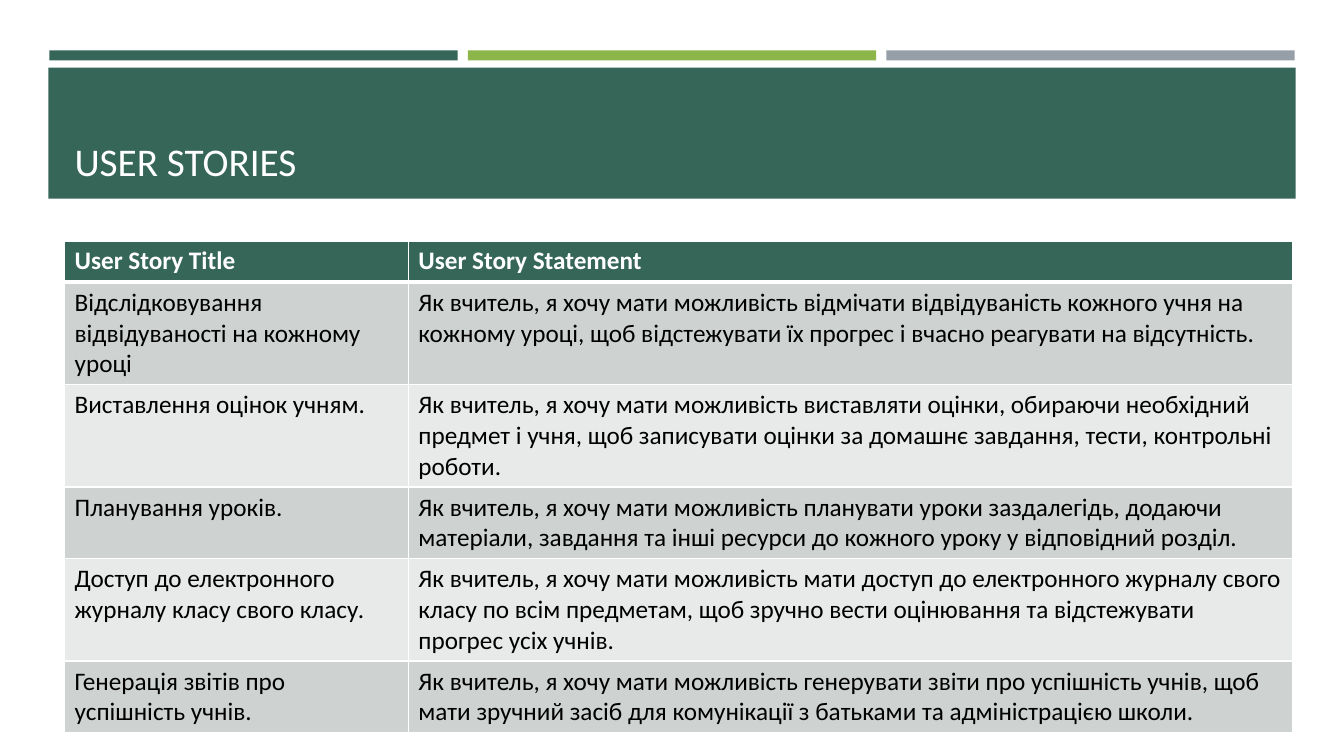
from lxml import etree
from pptx import Presentation
from pptx import util as u
from pptx.dml.color import RGBColor
from pptx.enum import shapes, text
from pptx.oxml import ns

GREEN = RGBColor(0x36, 0x66, 0x58)
LIME = RGBColor(0x8C, 0xB6, 0x4A)
GREY = RGBColor(0x96, 0x9F, 0xA7)
WHITE = RGBColor(0xFF, 0xFF, 0xFF)
BLACK = RGBColor(0x00, 0x00, 0x00)
ROW_DARK = RGBColor(0xCE, 0xD3, 0xD1)
ROW_LIGHT = RGBColor(0xE8, 0xEA, 0xEA)
FONT = "Calibri"

STORIES = [
    ("User Story Title", "User Story Statement"),
    ("Відслідковування відвідуваності на кожному уроці",
     "Як вчитель, я хочу мати можливість відмічати відвідуваність кожного учня на кожному уроці, "
     "щоб відстежувати їх прогрес і вчасно реагувати на відсутність."),
    ("Виставлення оцінок учням.",
     "Як вчитель, я хочу мати можливість виставляти оцінки, обираючи необхідний предмет і учня, "
     "щоб записувати оцінки за домашнє завдання, тести, контрольні роботи."),
    ("Планування уроків.",
     "Як вчитель, я хочу мати можливість планувати уроки заздалегідь, додаючи матеріали, "
     "завдання та інші ресурси до кожного уроку у відповідний розділ."),
    ("Доступ до електронного журналу класу свого класу.",
     "Як вчитель, я хочу мати можливість мати доступ до електронного журналу свого класу по всім предметам, "
     "щоб зручно вести оцінювання та відстежувати прогрес усіх учнів."),
    ("Генерація звітів про успішність учнів.",
     "Як вчитель, я хочу мати можливість генерувати звіти про успішність учнів, "
     "щоб мати зручний засіб для комунікації з батьками та адміністрацією школи."),
]


def add_block(slide, left, top, width, height, color):
    shape = slide.shapes.add_shape(
        shapes.MSO_SHAPE.RECTANGLE, u.Inches(left), u.Inches(top), u.Inches(width), u.Inches(height))
    shape.shadow.inherit = False
    shape.fill.solid()
    shape.fill.fore_color.rgb = color
    shape.line.fill.background()


def format_run(run, size, color, bold=False):
    run.font.name = FONT
    run.font.size = u.Pt(size)
    run.font.bold = bold
    run.font.color.rgb = color


def add_stripes(slide, left, top, width, height):
    gap = 0.1
    stripe_width = (width - 2 * gap) / 3
    for index, color in enumerate((GREEN, LIME, GREY)):
        add_block(slide, left + index * (stripe_width + gap), top, stripe_width, height, color)


def add_title_band(slide, left, top, width, height):
    add_block(slide, left, top, width, height, GREEN)
    title = slide.shapes.title
    slide.shapes._spTree.append(title._element)
    title.left, title.top = u.Inches(left + 0.16), u.Inches(top + 0.1)
    title.width, title.height = u.Inches(width - 0.31), u.Inches(height - 0.19)
    frame = title.text_frame
    frame.text = "USER STORIES"
    frame.vertical_anchor = text.MSO_ANCHOR.BOTTOM
    paragraph = frame.paragraphs[0]
    paragraph.alignment = text.PP_ALIGN.LEFT
    format_run(paragraph.runs[0], 28, WHITE)


def set_borders(cell, top_width, bottom_width):
    properties = cell._tc.get_or_add_tcPr()
    for side, width in (("L", 1), ("R", 1), ("T", top_width), ("B", bottom_width)):
        line = etree.SubElement(properties, ns.qn(f"a:ln{side}"), w=str(u.Pt(width)))
        fill = etree.SubElement(line, ns.qn("a:solidFill"))
        etree.SubElement(fill, ns.qn("a:srgbClr"), val=str(WHITE))


def add_story_table(slide, left, top, column_widths, row_height):
    table = slide.shapes.add_table(
        len(STORIES), len(column_widths), u.Inches(left), u.Inches(top),
        u.Inches(sum(column_widths)), u.Inches(row_height * len(STORIES))).table
    for column, width in zip(table.columns, column_widths):
        column.width = u.Inches(width)
    for row_index, story in enumerate(STORIES):
        is_header = row_index == 0
        row_color = GREEN if is_header else ROW_DARK if row_index % 2 else ROW_LIGHT
        for column_index, wording in enumerate(story):
            cell = table.cell(row_index, column_index)
            set_borders(cell, 3 if row_index == 1 else 1, 3 if is_header else 1)
            cell.fill.solid()
            cell.fill.fore_color.rgb = row_color
            cell.text_frame.text = wording
            format_run(cell.text_frame.paragraphs[0].runs[0], 18, WHITE if is_header else BLACK, is_header)


def main():
    presentation = Presentation()
    presentation.slide_width = u.Inches(13.33)
    presentation.slide_height = u.Inches(7.5)
    slide = presentation.slides.add_slide(presentation.slide_layouts[5])
    add_stripes(slide, 0.49, 0.5, 12.35, 0.1)
    add_title_band(slide, 0.48, 0.67, 12.37, 1.3)
    add_story_table(slide, 0.64, 2.39, (3.41, 8.77), 0.41)
    presentation.save("out.pptx")


if __name__ == "__main__":
    main()
